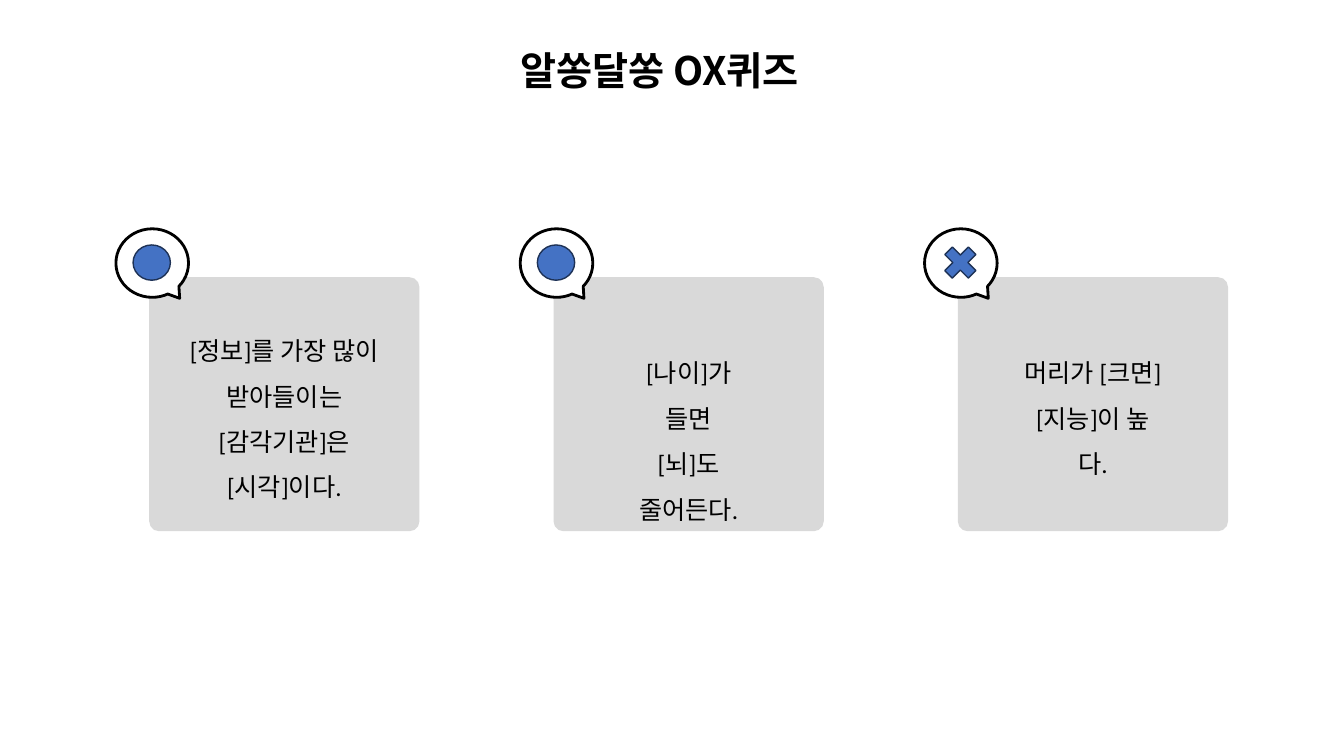
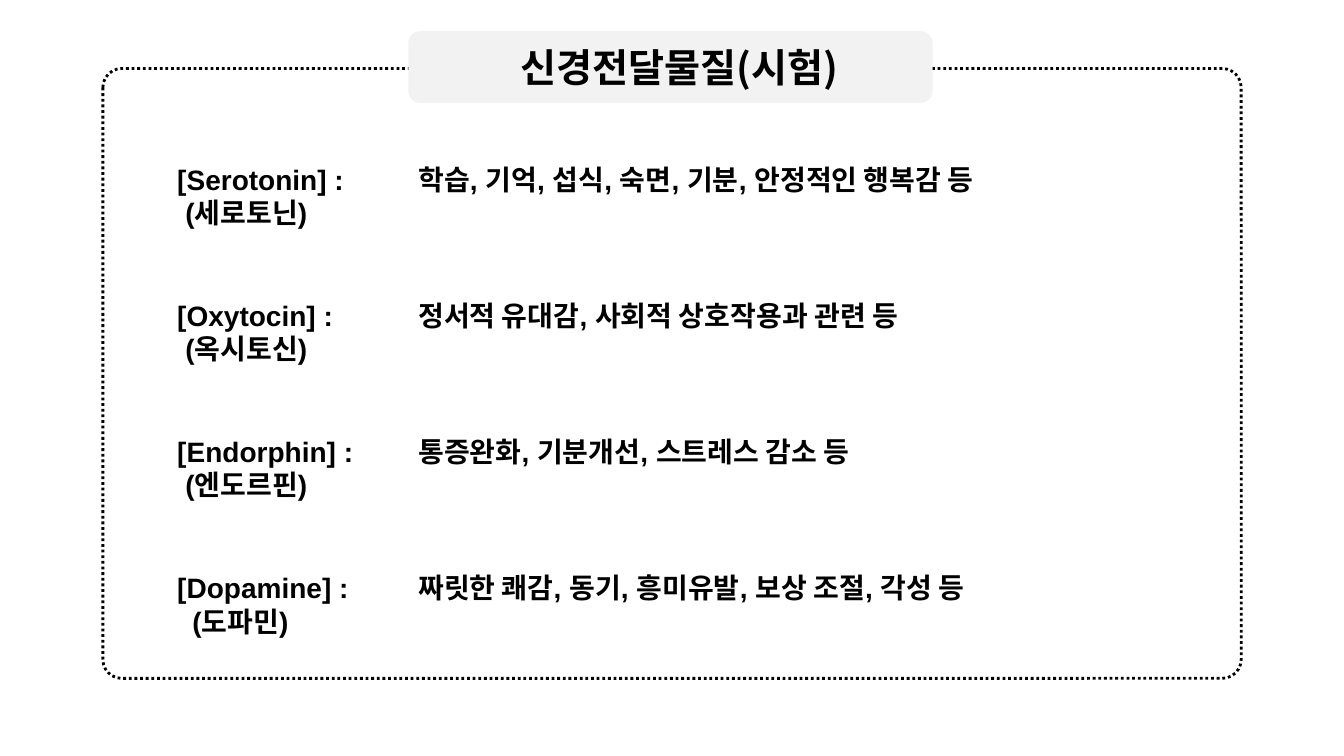
from lxml.etree import SubElement
from pptx import Presentation
from pptx.dml.color import RGBColor
from pptx.enum.dml import MSO_LINE
from pptx.enum.shapes import MSO_SHAPE
from pptx.enum.text import MSO_ANCHOR, PP_ALIGN
from pptx.oxml.ns import qn
from pptx.util import Pt

EMU_PER_PX = 9144
SLIDE_WIDTH, SLIDE_HEIGHT = 1333, 750

BLACK = RGBColor(0x00, 0x00, 0x00)
WHITE = RGBColor(0xFF, 0xFF, 0xFF)
CARD_GREY = RGBColor(0xD9, 0xD9, 0xD9)
BAND_GREY = RGBColor(0xF2, 0xF2, 0xF2)
MARK_BLUE = RGBColor(0x44, 0x72, 0xC4)
MARK_EDGE = RGBColor(0x1E, 0x32, 0x56)

KOREAN_FONT = "Noto Sans CJK KR"


def px(length):
    return length * EMU_PER_PX


class Painter:
    """Holds the deck, the current page and the shared style."""

    def __init__(self):
        self.deck = Presentation()
        self.deck.slide_width = px(SLIDE_WIDTH)
        self.deck.slide_height = px(SLIDE_HEIGHT)
        self.page = None

    def new_page(self):
        self.page = self.deck.slides.add_slide(self.deck.slide_layouts[6])

    def shape(self, kind, left, top, width, height, fill=None, line=None,
              weight=1, dash=None, adjustments=()):
        shape = self.page.shapes.add_shape(
            kind, px(left), px(top), px(width), px(height))
        shape.shadow.inherit = False
        for index, value in enumerate(adjustments):
            shape.adjustments[index] = value
        if fill is None:
            shape.fill.background()
        else:
            shape.fill.solid()
            shape.fill.fore_color.rgb = fill
        if line is None:
            shape.line.fill.background()
        else:
            shape.line.color.rgb = line
            shape.line.width = Pt(weight)
            if dash is not None:
                shape.line.dash_style = dash
        return shape

    def fill_text(self, shape, lines, size, font, bold=False,
                  align=PP_ALIGN.LEFT, spacing=1.0, indents=()):
        frame = shape.text_frame
        frame.word_wrap = True
        frame.text = "\n".join(lines)
        for para in frame.paragraphs:
            para.alignment = align
            para.line_spacing = spacing
            para.font.size = Pt(size)
            para.font.bold = bold
            para.font.name = font
            para.font.color.rgb = BLACK
            # Korean letters take their own typeface
            defaults = para._p.pPr.find(qn("a:defRPr"))
            SubElement(defaults, qn("a:ea")).set("typeface", KOREAN_FONT)
        for para, indent in zip(frame.paragraphs, indents):
            para._p.pPr.set("marL", str(px(indent)))

    def text(self, left, top, width, height, lines, size, font, **style):
        box = self.page.shapes.add_textbox(
            px(left), px(top), px(width), px(height))
        self.fill_text(box, lines, size, font, **style)

    def title(self, shape, wording):
        self.fill_text(shape, [wording], 28, KOREAN_FONT, bold=True)

    def plain_title(self, left, top, width, height, wording):
        box = self.page.shapes.add_textbox(
            px(left), px(top), px(width), px(height))
        self.title(box, wording)

    def band_title(self, left, top, width, height, inset, wording):
        band = self.shape(MSO_SHAPE.ROUNDED_RECTANGLE, left, top, width,
                          height, BAND_GREY)
        self.title(band, wording)
        band.text_frame.margin_left = px(inset)
        band.text_frame.vertical_anchor = MSO_ANCHOR.MIDDLE

    def quiz_card(self, left, top, text_top, lines, mark, mark_size):
        self.shape(MSO_SHAPE.ROUNDED_RECTANGLE, left, top, 268, 252,
                   CARD_GREY, adjustments=[0.039])
        # Bubble on the corner, with the answer mark in its middle
        bubble_left, bubble_top = left - 33, top - 48
        bubble_width, bubble_height = 72, 68
        self.shape(MSO_SHAPE.OVAL_CALLOUT, bubble_left, bubble_top,
                   bubble_width, bubble_height, WHITE, BLACK, 2,
                   adjustments=[0.378, 0.514])
        width, height = mark_size
        self.shape(mark, bubble_left + (bubble_width - width) // 2,
                   bubble_top + (bubble_height - height) // 2,
                   width, height, MARK_BLUE, MARK_EDGE)
        self.text(left, text_top, 268, 187, lines, 18, "Calibri",
                  align=PP_ALIGN.CENTER, spacing=1.5)


def quiz_page(painter):
    painter.new_page()
    painter.plain_title(506, 41, 325, 57, "알쏭달쏭 OX퀴즈")
    circle = (MSO_SHAPE.OVAL, (37, 35))
    cross = (MSO_SHAPE.MATH_MULTIPLY, (45, 45))
    cards = [
        (313, ["[정보]를 가장 많이", "받아들이는", "[감각기관]은", "[시각]이다."],
         circle),
        (335, ["[나이]가\v들면", "[뇌]도", "줄어든다."], circle),
        (335, ["머리가 [크면]", "[지능]이 높\v다."], cross),
    ]
    for column, (text_top, lines, (mark, mark_size)) in enumerate(cards):
        painter.quiz_card(148 + 401 * column, 275, text_top, lines,
                          mark, mark_size)


def transmitter_page(painter):
    painter.new_page()
    # Dotted frame with the title band on its upper edge
    painter.shape(MSO_SHAPE.ROUNDED_RECTANGLE, 102, 68, 1129, 605,
                  line=BLACK, weight=2, dash=MSO_LINE.ROUND_DOT,
                  adjustments=[0.031])
    painter.band_title(405, 31, 520, 71, 108, "신경전달물질(시험)")
    # Name, Korean name and its indent, effects
    transmitters = [
        ("[Serotonin] :", "(세로토닌)", 8,
         "학습, 기억, 섭식, 숙면, 기분, 안정적인 행복감 등"),
        ("[Oxytocin] :", "(옥시토신)", 8,
         "정서적 유대감, 사회적 상호작용과 관련 등"),
        ("[Endorphin] :", "(엔도르핀)", 8,
         "통증완화, 기분개선, 스트레스 감소 등"),
        ("[Dopamine] :", "(도파민)", 15,
         "짜릿한 쾌감, 동기, 흥미유발, 보상 조절, 각성 등"),
    ]
    for row, (name, korean, indent, effects) in enumerate(transmitters):
        top = 156 + 135 * row
        painter.text(166, top, 204, 77, [name, korean], 20, "Arial",
                     bold=True, indents=[0, indent])
        painter.text(405, top, 700, 44, [effects], 20, "Arial", bold=True)


def main():
    painter = Painter()
    quiz_page(painter)
    transmitter_page(painter)
    painter.deck.save("out.pptx")


if __name__ == "__main__":
    main()
